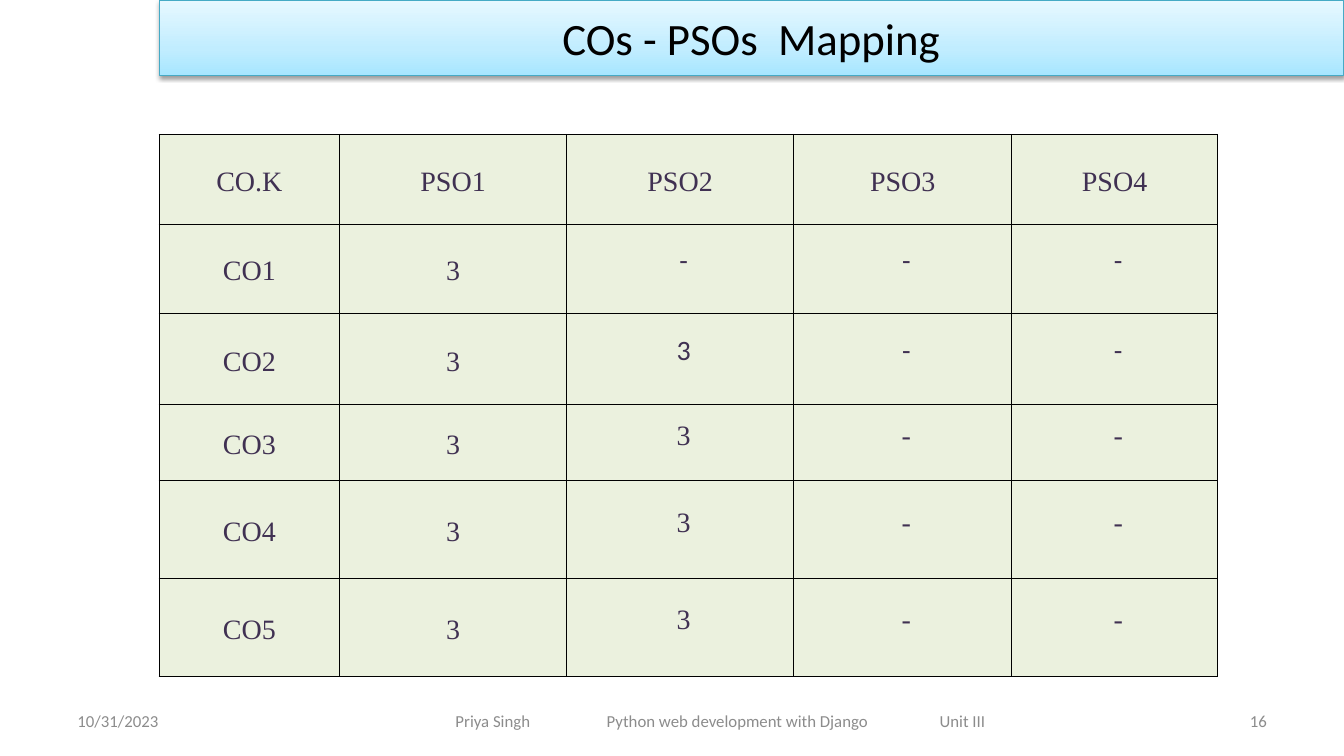
from lxml import etree
from pptx import Presentation
from pptx.dml.color import RGBColor
from pptx.enum.text import MSO_ANCHOR, MSO_AUTO_SIZE, PP_ALIGN
from pptx.oxml import parse_xml
from pptx.oxml.ns import nsdecls, qn
from pptx.util import Cm, Pt

LEFT, CENTER, RIGHT = PP_ALIGN.LEFT, PP_ALIGN.CENTER, PP_ALIGN.RIGHT
MIDDLE = MSO_ANCHOR.MIDDLE
NO_AUTOFIT = MSO_AUTO_SIZE.NONE
TITLE_ONLY = 5


def rgb(value):
    return RGBColor.from_string(value)


class Deck:
    sans, serif = "Calibri", "Times New Roman"
    black, grey, purple = "000000", "8C8C8C", "403152"
    cell_fill, title_line = "EBF1DE", "46AAC5"
    title_stops = ((0, "A7E6FF"), (35, "C1EDFF"), (100, "E7F8FF"))

    def __init__(self):
        self.prs = Presentation()
        self.prs.slide_width, self.prs.slide_height = Cm(33.87), Cm(19.05)

    def add_slide(self):
        self.s = self.prs.slides.add_slide(self.prs.slide_layouts[TITLE_ONLY])

    def format(self, p, font, size, color, align):
        p.alignment = align
        for r in p.runs:
            r.font.name, r.font.size = font, Pt(size)
            r.font.color.rgb = rgb(color)

    def title(self, text, left, top, width, height):
        sp = self.s.shapes.title
        sp.left, sp.top, sp.width, sp.height = map(Cm, (left, top, width, height))
        tf = sp.text_frame
        tf.text = text
        tf.auto_size, tf.vertical_anchor = NO_AUTOFIT, MIDDLE
        self.format(tf.paragraphs[0], self.sans, 32, self.black, CENTER)

        # Gradient, outline and shadow
        stops = "".join(f'<a:gs pos="{pos * 1000}"><a:srgbClr val="{color}"/></a:gs>'
                        for pos, color in self.title_stops)
        sp_pr = sp._element.spPr
        sp_pr.append(parse_xml(
            f'<a:gradFill {nsdecls("a")} rotWithShape="1"><a:gsLst>{stops}</a:gsLst>'
            '<a:lin ang="16200000" scaled="0"/></a:gradFill>'))
        sp.line.color.rgb = rgb(self.title_line)
        sp.line.width = Pt(0.75)
        sp_pr.append(parse_xml(
            f'<a:effectLst {nsdecls("a")}><a:outerShdw blurRad="{Pt(3.1)}" '
            f'dist="{Pt(1.6)}" dir="5400000" rotWithShape="0"><a:srgbClr '
            f'val="{self.black}"><a:alpha val="38000"/></a:srgbClr>'
            '</a:outerShdw></a:effectLst>'))

    def footer(self, text, left, width, align, tabs=()):
        sp = self.s.shapes.add_textbox(Cm(left), Cm(17.65), Cm(width), Cm(1.02))
        tf = sp.text_frame
        tf.text = text
        tf.word_wrap, tf.vertical_anchor = True, MIDDLE
        p = tf.paragraphs[0]
        if tabs:
            tab_list = etree.SubElement(p._p.get_or_add_pPr(), qn("a:tabLst"))
            for pos in tabs:
                etree.SubElement(tab_list, qn("a:tab"), pos=str(Cm(pos)), algn="l")
        self.format(p, self.sans, 12, self.grey, align)

    def cell(self, cell, text, font, tight):
        cell.text = text
        cell.vertical_anchor = MIDDLE
        cell.margin_left = cell.margin_right = Cm(0.18)
        cell.margin_top = cell.margin_bottom = 0
        cell.fill.solid()
        cell.fill.fore_color.rgb = rgb(self.cell_fill)
        p = cell.text_frame.paragraphs[0]
        p.line_spacing = Pt(12.3) if tight else 1.15
        if tight:
            p._p.get_or_add_pPr().set("marL", str(Cm(0.18)))
        self.format(p, font, 20, self.purple, CENTER)
        for i, side in enumerate(("lnL", "lnR", "lnT", "lnB")):
            cell._tc.get_or_add_tcPr().insert(i, parse_xml(
                f'<a:{side} {nsdecls("a")} w="{Pt(1)}"><a:solidFill><a:srgbClr '
                f'val="{self.black}"/></a:solidFill></a:{side}>'))

    def table(self, rows, left, top, widths, heights):
        table = self.s.shapes.add_table(
            len(rows), len(widths), Cm(left), Cm(top),
            Cm(sum(widths)), Cm(sum(heights))).table
        for column, width in zip(table.columns, widths):
            column.width = Cm(width)
        for row, height in zip(table.rows, heights):
            row.height = Cm(height)
        for i, row in enumerate(rows):
            for j, text in enumerate(row):
                tight = i > 0 and j > 1
                font = self.sans if tight and i < 3 else self.serif
                self.cell(table.cell(i, j), text, font, tight)


def main():
    deck = Deck()
    deck.add_slide()

    # Footer
    deck.footer("10/31/2023", 1.7, 7.9, LEFT)
    deck.footer("Priya Singh\tPython web development with Django\tUnit III",
                11.23, 13.97, LEFT, tabs=(3.81, 12.2))
    deck.footer("16", 24.28, 7.9, RIGHT)

    # Title bar
    deck.title("COs - PSOs  Mapping", 4.01, 0, 29.85, 1.9)

    # Mapping of course outcomes to programme outcomes
    rows = [["CO.K", "PSO1", "PSO2", "PSO3", "PSO4"],
            ["CO1", "3", "-", "-", "-"]]
    rows += [[f"CO{n}", "3", "3", "-", "-"] for n in range(2, 6)]
    deck.table(rows, 4.01, 3.39, widths=(4.55, 5.72, 5.72, 5.5, 5.18),
               heights=(2.26, 2.26, 2.29, 1.92, 2.46, 2.46))

    deck.prs.save("out.pptx")


if __name__ == "__main__":
    main()
